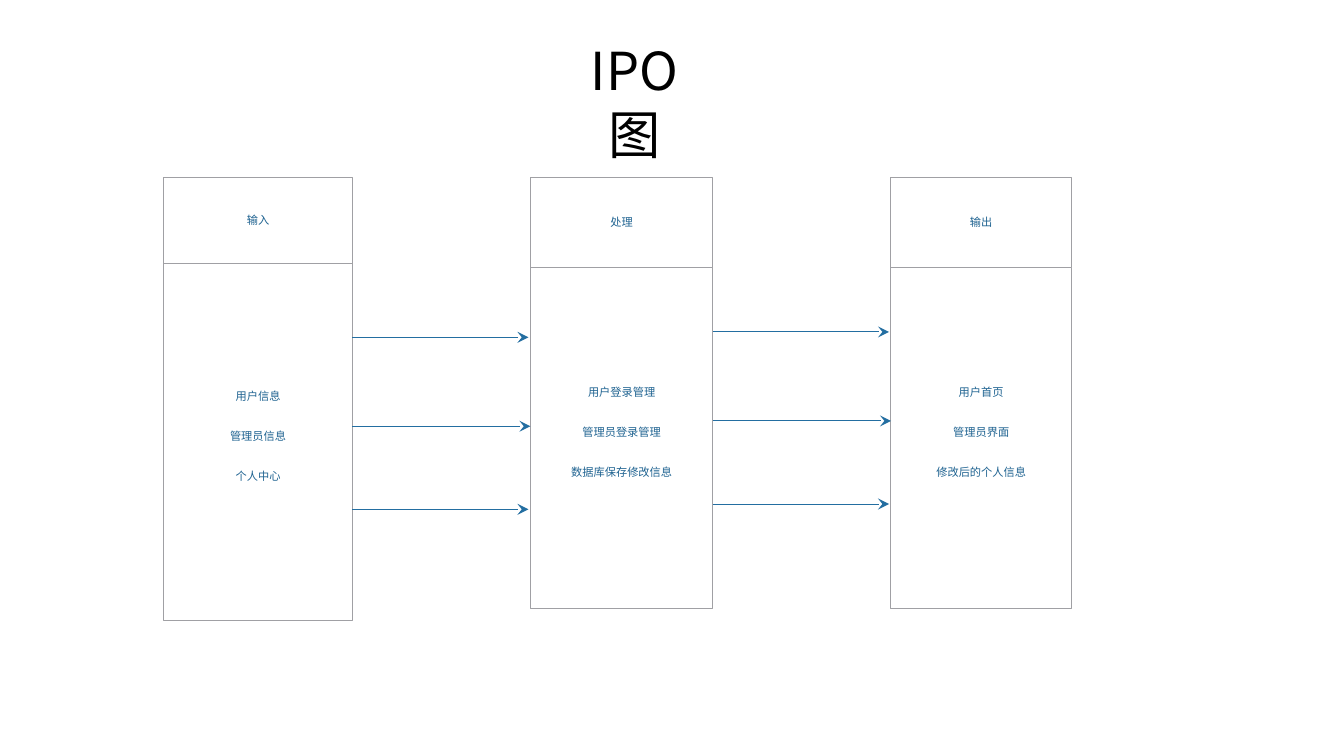
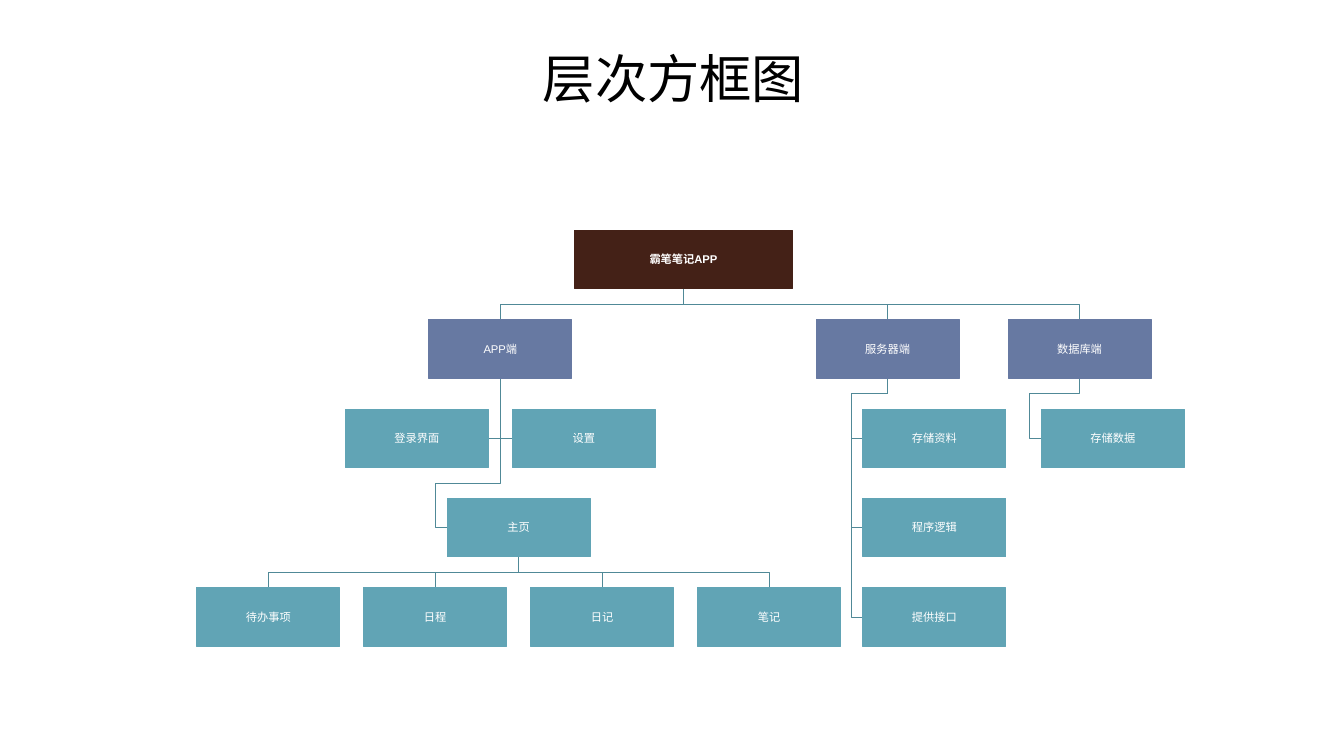
"""Build two design slides: an IPO diagram and a block hierarchy."""
from lxml import etree
from pptx import Presentation
from pptx import util as u
from pptx.dml.color import RGBColor
from pptx.enum import shapes, text
from pptx.oxml.ns import qn

BLACK = RGBColor(0x00, 0x00, 0x00)
WHITE = RGBColor(0xFF, 0xFF, 0xFF)
FRAME_GREY = RGBColor(0xA0, 0xA0, 0xA4)
LABEL_BLUE = RGBColor(0x1F, 0x63, 0x91)
ARROW_BLUE = RGBColor(0x23, 0x6E, 0xA1)
ROOT_BROWN = RGBColor(0x44, 0x21, 0x17)
BRANCH_INDIGO = RGBColor(0x67, 0x79, 0xA2)
LEAF_TEAL = RGBColor(0x61, 0xA4, 0xB5)
TREE_LINE = RGBColor(0x50, 0x89, 0x97)

SLIDE_WIDTH = u.Inches(10)
SLIDE_HEIGHT = u.Emu(SLIDE_WIDTH * 9 // 16)
CELL = SLIDE_WIDTH // 100
CJK_FONT = "Noto Sans CJK SC"
LINE_WIDTH = u.Pt(0.47)
TITLE_ONLY = 5

PANELS = [
    (12.2, 14.0, 19.6, 46.2, "输入", ["用户信息", "管理员信息", "个人中心"]),
    (39.5, 13.5, 19.9, 45.3, "处理", ["用户登录管理", "管理员登录管理", "数据库保存修改信息"]),
    (66.25, 13.5, 19.9, 45.3, "输出", ["用户首页", "管理员界面", "修改后的个人信息"]),
]
PANEL_TOP = 13.17
ARROWS = [(25.1, 13.1), (31.72, 13.25), (37.9, 13.1)]

TREE_LEFT, TREE_TOP = 14.64, 17.14
COLUMN_PITCH, ROW_PITCH = 12.42, 6.65
NODE_WIDTH, NODE_HEIGHT = 10.64, 4.35
HALF_GAP = (ROW_PITCH - NODE_HEIGHT) / 2
HANG = 0.88
ROOT = "霸笔笔记APP"
NODES = {
    "APP端": (1.39, 1), "服务器端": (3.71, 1), "数据库端": (4.86, 1),
    "登录界面": (0.89, 2), "设置": (1.89, 2), "主页": (1.5, 3),
    "待办事项": (0, 4), "日程": (1, 4), "日记": (2, 4), "笔记": (3, 4),
    "存储资料": (3.99, 2), "程序逻辑": (3.99, 3), "提供接口": (3.99, 4),
    "存储数据": (5.06, 2),
}
TOP_LINKS = {
    ROOT: ["APP端", "服务器端", "数据库端"],
    "主页": ["待办事项", "日程", "日记", "笔记"],
}
HANGING_LINKS = {
    "APP端": ["主页"],
    "服务器端": ["存储资料", "程序逻辑", "提供接口"],
    "数据库端": ["存储数据"],
}


def cells(*values):
    """Turn grid cells into lengths."""
    return [u.Emu(round(value * CELL)) for value in values]


def write(frame, lines, *, size, color, font, bold=False, spacing=None,
          gap=0, align=text.PP_ALIGN.CENTER):
    """Fill a text frame with one paragraph per line in a given format."""
    for index, line in enumerate(lines):
        paragraph = frame.add_paragraph() if index else frame.paragraphs[0]
        paragraph.alignment = align
        paragraph.line_spacing = u.Pt(spacing or size * 1.5)
        paragraph.space_before = u.Pt(gap if index else 0)
        run = paragraph.add_run()
        run.text = line
        run.font.size = u.Pt(size)
        run.font.bold = bold
        run.font.color.rgb = color
        run.font.name = font
        properties = run.font._element
        etree.SubElement(properties, qn("a:ea"), typeface=CJK_FONT)


class Deck:
    """Hold the shared style and the current slide."""

    def __init__(self):
        """Start an empty widescreen presentation."""
        self.presentation = Presentation()
        self.presentation.slide_width = SLIDE_WIDTH
        self.presentation.slide_height = SLIDE_HEIGHT
        self.slide = None

    def new_slide(self, title, left, top, width, align):
        """Add a slide and place its title."""
        layout = self.presentation.slide_layouts[TITLE_ONLY]
        self.slide = self.presentation.slides.add_slide(layout)
        shape = self.slide.shapes.title
        shape.left, shape.top, shape.width, shape.height = cells(left, top, width, 5.7)
        frame = shape.text_frame
        frame.word_wrap = True
        frame.auto_size = text.MSO_AUTO_SIZE.NONE
        frame.vertical_anchor = text.MSO_ANCHOR.TOP
        frame.margin_left = frame.margin_right = u.Inches(0.1)
        frame.margin_top = u.Inches(0.05)
        write(frame, [title], size=28, color=BLACK, font=CJK_FONT,
              spacing=34, align=align)

    def box(self, left, top, width, height, lines, fill, line, margin=0.1,
            bottom=0.03, **style):
        """Draw a filled rectangle with centred text."""
        shape = self.slide.shapes.add_shape(
            shapes.MSO_SHAPE.RECTANGLE, *cells(left, top, width, height))
        shape.shadow.inherit = False
        shape.fill.solid()
        shape.fill.fore_color.rgb = fill
        shape.line.color.rgb = line
        shape.line.width = LINE_WIDTH
        frame = shape.text_frame
        frame.word_wrap = True
        frame.vertical_anchor = text.MSO_ANCHOR.MIDDLE
        frame.margin_left = frame.margin_right = u.Inches(margin)
        frame.margin_top, frame.margin_bottom = 0, u.Inches(bottom)
        write(frame, lines, size=6, **style)

    def arrow(self, left, top, length):
        """Draw a horizontal arrow pointing right."""
        connector = self.slide.shapes.add_connector(
            shapes.MSO_CONNECTOR.STRAIGHT, *cells(left, top, left + length, top))
        connector.line.color.rgb = ARROW_BLUE
        connector.line.width = LINE_WIDTH
        etree.SubElement(connector.line._get_or_add_ln(), qn("a:tailEnd"), type="stealth")
        etree.SubElement(connector._element.spPr, qn("a:effectLst"))

    def elbow(self, *points):
        """Draw an open line through the given grid points."""
        start, *rest = [cells(*point) for point in points]
        builder = self.slide.shapes.build_freeform(*start)
        builder.add_line_segments(rest, close=False)
        shape = builder.convert_to_shape()
        shape.shadow.inherit = False
        shape.fill.background()
        shape.line.color.rgb = TREE_LINE
        shape.line.width = LINE_WIDTH


def build_ipo(deck):
    """Draw the input, process and output panels with their arrows."""
    deck.new_slide("IPO图", 41.3, 2.3, 11.8, text.PP_ALIGN.CENTER)
    style = dict(fill=WHITE, line=FRAME_GREY, color=LABEL_BLUE, font="Calibri")
    for left, width, split, bottom, heading, items in PANELS:
        deck.box(left, PANEL_TOP, width, split - PANEL_TOP, [heading], **style)
        deck.box(left, split, width, bottom - split, items, bottom=0.12,
                 gap=12.5, **style)
    for start, rise in ((26.22, 0), (53.05, 0.4)):
        for top, length in ARROWS:
            deck.arrow(start, top - rise, length)


def build_hierarchy(deck):
    """Draw the hierarchy of application blocks."""
    deck.new_slide("层次方框图", 39.4, 2.9, 21.7, text.PP_ALIGN.LEFT)
    places = {ROOT: (42.75, TREE_TOP, 16.2)}
    for name, (column, row) in NODES.items():
        places[name] = (TREE_LEFT + column * COLUMN_PITCH,
                        TREE_TOP + row * ROW_PITCH, NODE_WIDTH)

    def foot(name):
        """Return the bottom centre of a node."""
        left, top, width = places[name]
        return left + width / 2, top + NODE_HEIGHT

    for parent, children in TOP_LINKS.items():
        x, y = foot(parent)
        for child in children:
            left, top, width = places[child]
            center = left + width / 2
            deck.elbow((x, y), (x, y + HALF_GAP), (center, y + HALF_GAP), (center, top))

    for parent, children in HANGING_LINKS.items():
        x, y = foot(parent)
        bend = places[children[0]][1] - HALF_GAP
        for child in children:
            left, top, _ = places[child]
            middle = top + NODE_HEIGHT / 2
            deck.elbow((x, y), (x, bend), (left - HANG, bend),
                       (left - HANG, middle), (left, middle))

    x, y = foot("APP端")
    left, top, width = places["登录界面"]
    middle = top + NODE_HEIGHT / 2
    for edge in (left + width, places["设置"][0]):
        deck.elbow((x, y), (x, middle), (edge, middle))

    for name, (left, top, width) in places.items():
        row = NODES[name][1] if name in NODES else 0
        fill = (ROOT_BROWN, BRANCH_INDIGO)[row] if row < 2 else LEAF_TEAL
        deck.box(left, top, width, NODE_HEIGHT, [name], fill=fill, line=fill,
                 margin=0.03, color=WHITE, font="Arial", bold=name == ROOT)


def main():
    """Build both slides and save them."""
    deck = Deck()
    build_ipo(deck)
    build_hierarchy(deck)
    deck.presentation.save("out.pptx")


if __name__ == "__main__":
    main()
